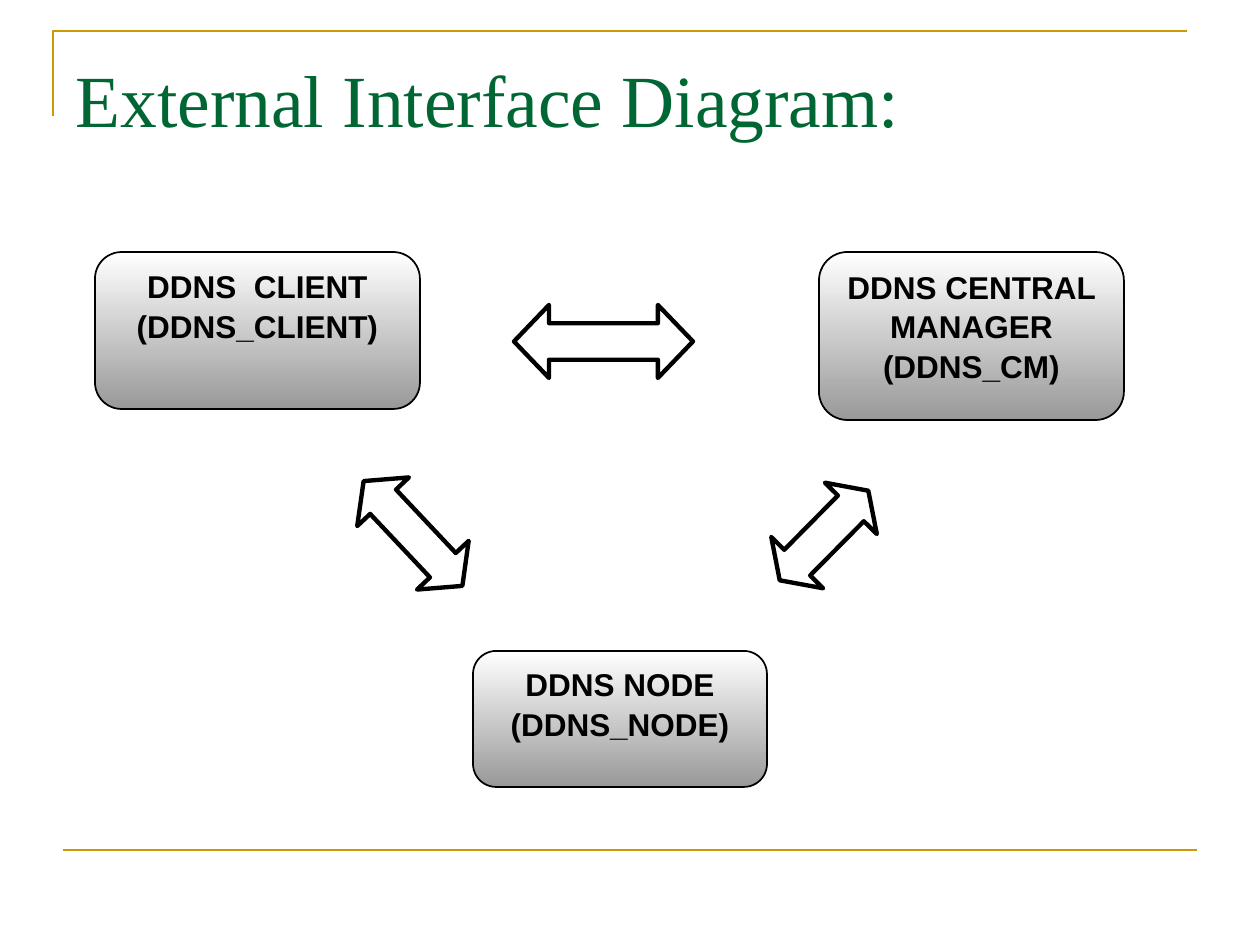
from lxml import etree
from pptx import Presentation
from pptx import util as u
from pptx.dml.color import RGBColor
from pptx.enum import shapes, text
from pptx.oxml.ns import qn

PX = u.Inches(1) / 126
BLACK = RGBColor(0, 0, 0)
WHITE = RGBColor(255, 255, 255)
GRAY = RGBColor(0x99, 0x99, 0x99)
GOLD = RGBColor(0xCC, 0x99, 0x00)
GREEN = RGBColor(0x00, 0x66, 0x33)

TITLE = "External Interface Diagram:"
TITLE_AREA = (63, 38, 1134, 158)
CORNER = [(53, 116), (53, 31), (1187, 31)]
FOOTER_RULE = (63, 850, 1197, 850)

# left, top, width, height in px
COMPONENTS = [
    ("DDNS  CLIENT\n(DDNS_CLIENT)", (95, 252, 325, 157)),
    ("DDNS CENTRAL MANAGER\n(DDNS_CM)", (819, 252, 305, 168)),
    ("DDNS NODE\n(DDNS_NODE)", (473, 651, 294, 136)),
]
# area in px, rotation in degrees, head length relative to height
ARROWS = [
    ((514, 305, 179, 73), 0, 0.48),
    ((761, 499, 126, 73), 134.7, 0.34),
    ((341, 498, 144, 71), 46.7, 0.4),
]


def emu(lengths):
    return [round(length * PX) for length in lengths]


def set_line(shape, color, points):
    shape.line.color.rgb = color
    shape.line.width = u.Pt(points)


def add_frame_lines(slide):
    builder = slide.shapes.build_freeform(*CORNER[0], scale=PX)
    builder.add_line_segments(CORNER[1:], close=False)
    corner = builder.convert_to_shape()
    corner.shadow.inherit = False
    corner.fill.background()
    set_line(corner, GOLD, 1.5)

    rule = slide.shapes.add_connector(shapes.MSO_CONNECTOR.STRAIGHT, *emu(FOOTER_RULE))
    set_line(rule, GOLD, 1.5)
    etree.SubElement(rule._element.spPr, qn("a:effectLst"))


def format_title(title):
    title.left, title.top, title.width, title.height = emu(TITLE_AREA)
    frame = title.text_frame
    frame.text = TITLE
    frame.vertical_anchor = text.MSO_ANCHOR.TOP
    frame.margin_top = round(16 * PX)
    paragraph = frame.paragraphs[0]
    paragraph.alignment = text.PP_ALIGN.LEFT
    font = paragraph.runs[0].font
    font.name, font.size = "Times New Roman", u.Pt(42)
    font.color.rgb = GREEN


def add_component(slide, label, area):
    box = slide.shapes.add_shape(shapes.MSO_SHAPE.ROUNDED_RECTANGLE, *emu(area))
    box.shadow.inherit = False
    box.adjustments[0] = 0.17
    box.fill.gradient()
    box.fill.gradient_angle = 270
    for stop, color in zip(box.fill.gradient_stops, (WHITE, GRAY)):
        stop.color.rgb = color
    set_line(box, BLACK, 1)
    frame = box.text_frame
    frame.word_wrap = True
    frame.vertical_anchor = text.MSO_ANCHOR.TOP
    frame.text = label
    for paragraph in frame.paragraphs:
        paragraph.alignment = text.PP_ALIGN.CENTER
        paragraph.line_spacing = 1.04
        font = paragraph.runs[0].font
        font.name, font.size, font.bold = "Arial", u.Pt(18), True
        font.color.rgb = BLACK


def add_arrow(slide, area, rotation, head):
    arrow = slide.shapes.add_shape(shapes.MSO_SHAPE.LEFT_RIGHT_ARROW, *emu(area))
    arrow.shadow.inherit = False
    arrow.rotation = rotation
    arrow.adjustments[0] = 0.5
    arrow.adjustments[1] = head
    arrow.fill.solid()
    arrow.fill.fore_color.rgb = WHITE
    set_line(arrow, BLACK, 2.5)


def main():
    presentation = Presentation()
    presentation.slide_width, presentation.slide_height = u.Inches(10), u.Inches(7.5)
    slide = presentation.slides.add_slide(presentation.slide_layouts[5])
    format_title(slide.shapes.title)
    add_frame_lines(slide)
    for label, area in COMPONENTS:
        add_component(slide, label, area)
    for area, rotation, head in ARROWS:
        add_arrow(slide, area, rotation, head)
    presentation.save("out.pptx")


if __name__ == "__main__":
    main()
